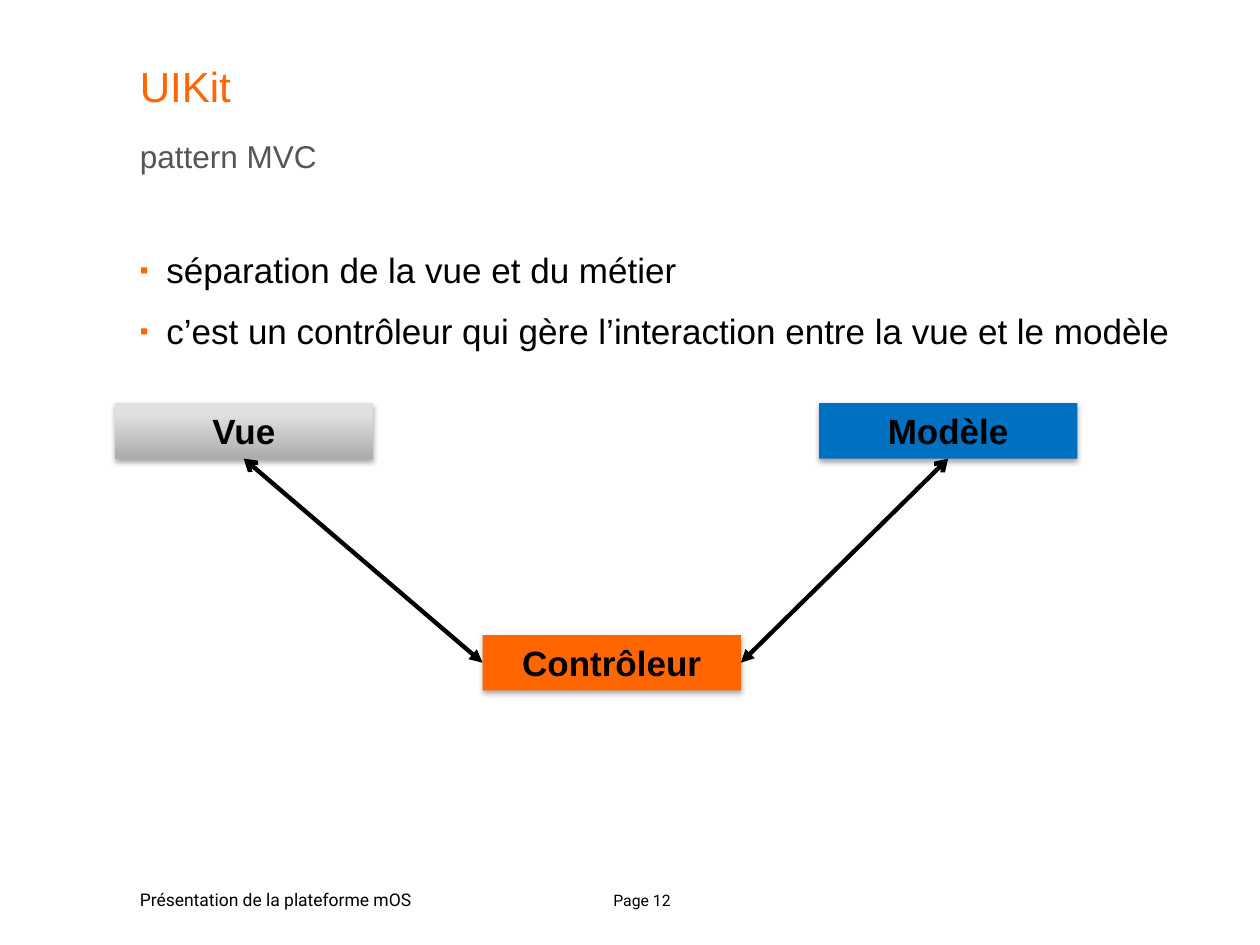
from lxml import etree
from pptx import Presentation
from pptx.dml.color import RGBColor
from pptx.enum.shapes import MSO_CONNECTOR, MSO_SHAPE
from pptx.enum.text import MSO_ANCHOR, PP_ALIGN
from pptx.oxml.ns import qn
from pptx.util import Inches, Pt

LEFT, CENTER = PP_ALIGN.LEFT, PP_ALIGN.CENTER
TOP, MIDDLE = MSO_ANCHOR.TOP, MSO_ANCHOR.MIDDLE
RECTANGLE, STRAIGHT = MSO_SHAPE.RECTANGLE, MSO_CONNECTOR.STRAIGHT
SITE_LEFT, SITE_BOTTOM, SITE_RIGHT = 1, 2, 3

# Content
ORANGE, BLACK, GREY = "FF6600", "000000", "555555"
TITLE = "UIKit"
SUBTITLE = "pattern MVC"
BULLETS = [
    "séparation de la vue et du métier",
    "c’est un contrôleur qui gère l’interaction entre la vue et le modèle",
]
FOOTER = "Présentation de la plateforme mOS"
PAGE = "Page 12"
BOX_SIZE = (2.05, 0.44)
BOXES = {  # name: (left, top, fill: one colour or gradient stops)
    "Vue": (0.91, 3.2, [(0, "ACACAC"), (0.8, "E0E0E0")]),
    "Modèle": (6.5, 3.2, "0070C0"),
    "Contrôleur": (3.83, 5.04, ORANGE),
}
LINKS = [("Contrôleur", SITE_LEFT, "Vue"), ("Contrôleur", SITE_RIGHT, "Modèle")]


def color(value):
    return RGBColor.from_string(value)


def add_xml(parent, tag, **attributes):
    return etree.SubElement(parent, qn(tag), attributes)


def write(shape, lines, size, hex_color, font="Arial", bold=False, align=LEFT,
          anchor=TOP, inset=0, spacing=1.0, after=0, wrap=True):
    frame = shape.text_frame
    frame.word_wrap = wrap
    frame.vertical_anchor = anchor
    frame.margin_left = frame.margin_right = 0
    frame.margin_top = frame.margin_bottom = Inches(inset)
    for index, line in enumerate(lines):
        paragraph = frame.add_paragraph() if index else frame.paragraphs[0]
        paragraph.alignment = align
        paragraph.line_spacing = spacing
        paragraph.space_after = Pt(after)
        run = paragraph.add_run()
        run.text = line
        run.font.name, run.font.size, run.font.bold = font, Pt(size), bold
        run.font.color.rgb = color(hex_color)


def add_text(slide, place, lines, size, hex_color, **style):
    shape = slide.shapes.add_textbox(*map(Inches, place))
    write(shape, lines, size, hex_color, **style)
    return shape


def add_bullet(paragraph):
    properties = paragraph._p.get_or_add_pPr()
    properties.set("marL", str(Inches(0.21)))
    properties.set("indent", str(-Inches(0.21)))
    add_xml(add_xml(properties, "a:buClr"), "a:srgbClr", val=ORANGE)
    add_xml(properties, "a:buSzPct", val="70000")
    add_xml(properties, "a:buFont", typeface="Arial")
    add_xml(properties, "a:buChar", char="▪")


def add_shadow(shape):
    shape.shadow.inherit = False
    effects = shape._element.spPr.find(qn("a:effectLst"))
    shadow = add_xml(effects, "a:outerShdw", blurRad=str(Pt(3.1)), dist=str(Pt(1.8)),
                     dir="5400000", rotWithShape="0")
    add_xml(add_xml(shadow, "a:srgbClr", val=BLACK), "a:alpha", val="35000")


def add_box(slide, name, left, top, fill):
    box = slide.shapes.add_shape(RECTANGLE, *map(Inches, (left, top, *BOX_SIZE)))
    if isinstance(fill, str):
        box.fill.solid()
        box.fill.fore_color.rgb = color(fill)
    else:
        box.fill.gradient()
        box.fill.gradient_angle = 90
        for stop, (position, value) in zip(box.fill.gradient_stops, fill):
            stop.position = position
            stop.color.rgb = color(value)
    box.line.fill.background()
    add_shadow(box)
    write(box, [name], 20, BLACK, bold=True, align=CENTER, anchor=MIDDLE, inset=0.05)
    return box


def add_link(slide, start, site, end):
    link = slide.shapes.add_connector(STRAIGHT, 0, 0, 0, 0)
    link.begin_connect(start, site)
    link.end_connect(end, SITE_BOTTOM)
    link.line.color.rgb = color(BLACK)
    link.line.width = Pt(2.5)
    line = link.line._get_or_add_ln()
    add_xml(line, "a:headEnd", type="triangle")
    add_xml(line, "a:tailEnd", type="arrow")
    add_xml(link._element.spPr, "a:effectLst")


def main():
    presentation = Presentation()
    presentation.slide_width, presentation.slide_height = Inches(10), Inches(7.5)
    slide = presentation.slides.add_slide(presentation.slide_layouts[5])

    # Title, subtitle and bullets
    title = slide.shapes.title
    title.left, title.top, title.width, title.height = map(Inches, (1.11, 0.44, 8.54, 0.54))
    write(title, [TITLE], 24, ORANGE, spacing=1.1)
    add_text(slide, (1.11, 1.06, 8.54, 0.33), [SUBTITLE], 18, GREY, spacing=1.1)
    body = add_text(slide, (1.11, 1.94, 8.78, 4.25), BULLETS, 20, BLACK,
                    spacing=1.1, after=8.5)
    for paragraph in body.text_frame.paragraphs:
        add_bullet(paragraph)

    # Diagram
    boxes = {name: add_box(slide, name, *rest) for name, rest in BOXES.items()}
    for start, site, end in LINKS:
        add_link(slide, boxes[start], site, boxes[end])

    # Footer
    add_text(slide, (1.11, 7.01, 2.72, 0.24), [FOOTER], 10, BLACK,
             font="Roboto", inset=0.05, wrap=False)
    add_text(slide, (4.69, 7.02, 0.81, 0.24), [PAGE], 9, BLACK,
             font="Roboto", align=CENTER, inset=0.05)

    presentation.save("out.pptx")


if __name__ == "__main__":
    main()
